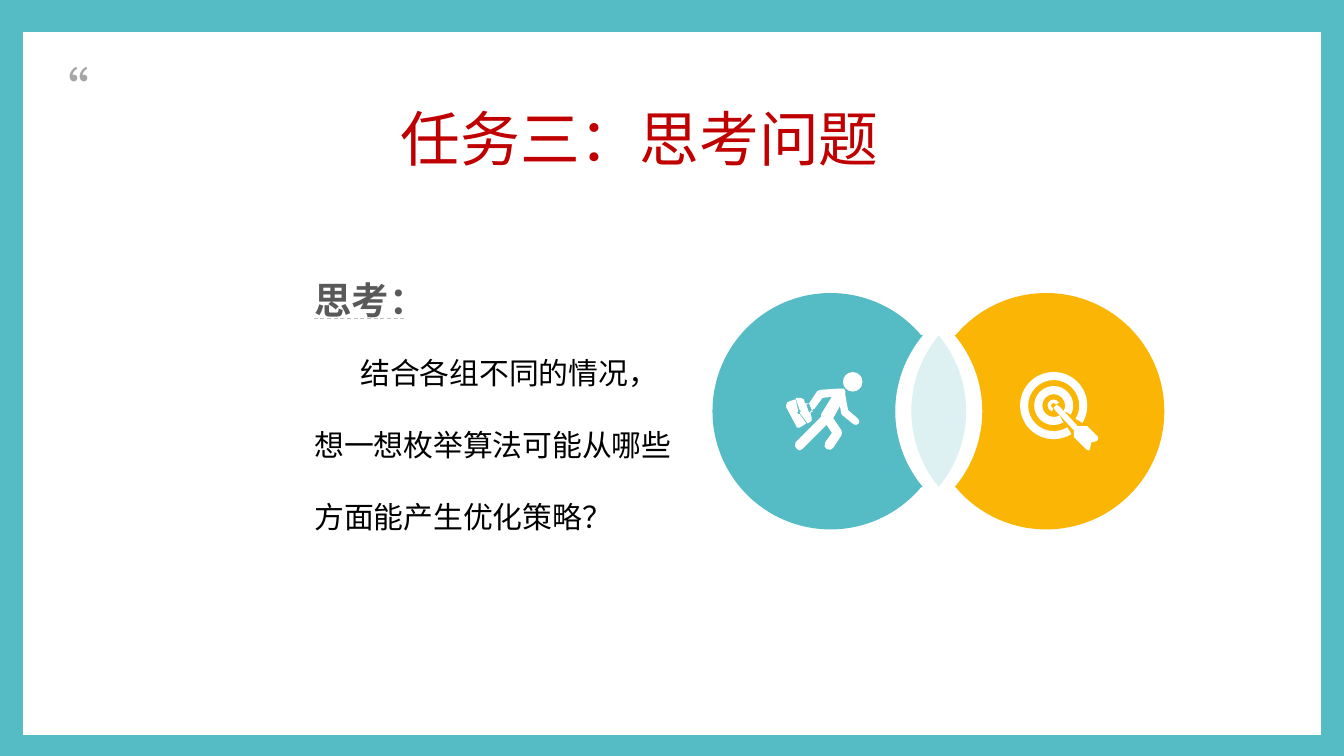
"""Build a question slide with two overlapping discs and their icons."""
from math import cos, radians, sin, tan

from pptx import Presentation
from pptx.dml.color import RGBColor
from pptx.enum.dml import MSO_LINE_DASH_STYLE as Dash
from pptx.enum.shapes import MSO_CONNECTOR as Connector, MSO_SHAPE as Preset
from pptx.enum.text import MSO_ANCHOR as Anchor, MSO_AUTO_SIZE as AutoSize, PP_ALIGN as Align
from pptx.oxml.ns import qn
from pptx.util import Cm, Pt

FONT = "Noto Sans CJK SC"
TEAL = RGBColor(0x55, 0xBB, 0xC5)
PALE = RGBColor(0xDD, 0xF1, 0xF3)
AMBER = RGBColor(0xFB, 0xB5, 0x05)
WHITE = RGBColor(0xFF, 0xFF, 0xFF)
BLACK = RGBColor(0, 0, 0)
RED = RGBColor(0xC0, 0, 0)
GREY = RGBColor(0x59, 0x59, 0x59)
SILVER = RGBColor(0xA6, 0xA6, 0xA6)
RULE = RGBColor(0xBF, 0xBF, 0xBF)

WIDTH, HEIGHT = Cm(25.4), Cm(14.28)
GRID = Cm(2.54) / 100

HEADING = {
    "text": "任务三：思考问题", "box": (7.32, 1.8, 11.3, 1.63),
    "font": {"size": Pt(32), "bold": False}, "color": RED,
    "paragraph": {"alignment": Align.LEFT, "line_spacing": 1},
}
QUESTION = {
    "text": "结合各组不同的情况，想一想枚举算法可能从哪些方面能产生优化策略？",
    "box": (5.69, 5.9, 7.3, 5.18), "indent": 0.87,
    "font": {"size": Pt(16)}, "color": BLACK,
    "paragraph": {"alignment": Align.LEFT, "line_spacing": 2},
}
PROMPT = {
    "text": "思考：", "box": (4.67, 4.93, 4.67, 1.19),
    "font": {"size": Pt(20), "bold": True}, "color": GREY,
    "paragraph": {"alignment": Align.CENTER, "line_spacing": 1.2},
}
QUOTE = {
    "text": "“", "box": (0.46, 0.98, 1.83, 1.52),
    "font": {"size": Pt(28)}, "color": SILVER,
    "paragraph": {"alignment": Align.LEFT},
}

MIDDLE, RADIUS = 305.8, 87.9
TARGET = (784, 301.6)
TARGET_RINGS = [(25, 19, 58, 391), (14.5, 8.5, 60, 388), (4.5, 2, 104, 333)]
ARROW = [
    (786, 301), (788, 302), (802, 317), (807, 317), (809, 317), (817, 325),
    (817, 327), (816, 328), (812, 329), (811, 334), (810, 335), (808, 334),
    (800, 326), (799, 325), (799, 320), (785, 305), (784, 303),
]
RUNNER_BODY = [
    (624, 289), (628, 289), (629, 291), (629, 294), (631, 305), (638, 311),
    (639.5, 313), (639, 315), (637, 316), (635, 315.5), (627, 309), (626, 308),
    (625, 302), (620, 311), (626, 320), (626.5, 322), (626, 324), (620, 333),
    (618, 334.5), (615, 334), (613.5, 332), (614, 329), (619, 322), (615, 316),
    (597, 334), (595, 335), (593, 334), (591.5, 332), (592, 329), (611, 310),
    (611, 308), (619, 295), (612, 296), (606, 304), (604, 305), (602, 300),
    (608, 291), (610, 290),
]
CASE_BACK = [
    (592, 297), (594, 306), (593, 307), (594, 308), (595, 308), (600, 315),
    (595, 318), (593, 318), (592, 316), (585, 303), (585, 301), (586, 299),
]
CASE_FRONT = [
    (596, 296), (598, 297), (599, 300), (602, 300), (600, 301), (602, 307),
    (604, 305), (605, 306), (603, 307), (604, 311), (604, 313), (601, 315),
    (595, 307), (596, 306), (595, 305), (592, 296), (594, 296),
]


def arc(x, y, radius, start, end):
    low, high = sorted((start, end))
    stops = [low, *(a for a in range(-180, 451, 90) if low < a < high), high]
    stops = [radians(a) for a in (stops if start < end else stops[::-1])]
    points = [(x + radius * cos(start_angle), y + radius * sin(start_angle))
              for start_angle in stops[:1]]
    for a, b in zip(stops, stops[1:]):
        reach = 4 / 3 * tan((b - a) / 4)
        for u, v in ((cos(a) - reach * sin(a), sin(a) + reach * cos(a)),
                     (cos(b) + reach * sin(b), sin(b) - reach * cos(b)),
                     (cos(b), sin(b))):
            points.append((x + radius * u, y + radius * v))
    return points


def join(first, second):
    return first + [first[-1], second[0]] + second


def band(outer, inner, start, end):
    return join(arc(*TARGET, outer, start, end), arc(*TARGET, inner, end, start))


def paint(shape, color):
    shape.shadow.inherit = False
    shape.fill.solid()
    shape.fill.fore_color.rgb = color
    shape.line.fill.background()


def draw(shapes, color, curves, polygons=()):
    scaled = [[(x * GRID, y * GRID) for x, y in contour] for contour in (*curves, *polygons)]
    builder = shapes.build_freeform(*scaled[0][0])
    builder.add_line_segments(scaled[0][1:])
    for contour in scaled[1:]:
        builder.move_to(*contour[0])
        builder.add_line_segments(contour[1:])
    shape = builder.convert_to_shape()
    paint(shape, color)
    bends = sum(len(contour) - 1 for contour in curves)
    segments = list(shape._element.iter(qn("a:lnTo")))[:bends]
    for i in range(0, bends, 3):
        cubic = segments[i].makeelement(qn("a:cubicBezTo"), {})
        segments[i].addprevious(cubic)
        for segment in segments[i:i + 3]:
            cubic.append(segment[0])
            segment.getparent().remove(segment)


def write(holder, content):
    places = map(Cm, content["box"])
    for side, value in zip(("left", "top", "width", "height"), places):
        setattr(holder, side, value)
    frame = holder.text_frame
    frame.text = content["text"]
    layout = {"word_wrap": True, "auto_size": AutoSize.NONE, "vertical_anchor": Anchor.TOP,
              "margin_left": Cm(0.25), "margin_right": Cm(0.25),
              "margin_top": Cm(0.13), "margin_bottom": Cm(0.13)}
    paragraph = frame.paragraphs[0]
    if "indent" in content:
        properties = paragraph._p.get_or_add_pPr()
        properties.set("marL", "0")
        properties.set("indent", str(Cm(content["indent"])))
        properties.append(properties.makeelement(qn("a:buNone"), {}))
    font = paragraph.runs[0].font
    for target, values in (
        (frame, layout),
        (paragraph, {"space_before": Pt(0), **content["paragraph"]}),
        (font, {"name": FONT, **content["font"]}),
    ):
        for name, value in values.items():
            setattr(target, name, value)
    font.color.rgb = content["color"]
    run = font._element
    run.append(run.makeelement(qn("a:ea"), {"typeface": FONT}))


def main():
    deck = Presentation()
    deck.slide_width, deck.slide_height = WIDTH, HEIGHT
    slide = deck.slides.add_slide(deck.slide_layouts[1])
    shapes = slide.shapes
    title, body = slide.placeholders

    paint(shapes.add_shape(Preset.RECTANGLE, 0, 0, WIDTH, HEIGHT), TEAL)
    panel = shapes.add_shape(Preset.RECTANGLE, Cm(0.42), Cm(0.58), Cm(24.56), Cm(13.32))
    paint(panel, WHITE)
    panel.line.color.rgb = TEAL
    panel.line.width = Pt(1)

    lens = join(arc(631, MIDDLE, RADIUS, -40, 40), arc(766, MIDDLE, RADIUS, 140, 220))
    left_disc = join(arc(618, MIDDLE, RADIUS, 40, 320), arc(754, MIDDLE, RADIUS, 220, 140))
    right_disc = join(arc(778.4, MIDDLE, RADIUS, -140, 140), arc(643, MIDDLE, RADIUS, 40, -40))
    for color, contour in ((PALE, lens), (TEAL, left_disc), (AMBER, right_disc)):
        draw(shapes, color, [contour])
    draw(shapes, WHITE, [arc(634.5, 284, 7.25, 0, 360)], [RUNNER_BODY, CASE_BACK, CASE_FRONT])
    draw(shapes, WHITE, [band(*ring) for ring in TARGET_RINGS], [ARROW])

    rule = shapes.add_connector(Connector.STRAIGHT, Cm(7.64), Cm(6.02), Cm(5.92), Cm(6.02))
    rule.line.color.rgb = RULE
    rule.line.width = Pt(0.5)
    rule.line.dash_style = Dash.DASH
    outline = rule._element.spPr
    outline.append(outline.makeelement(qn("a:effectLst"), {}))

    tree = title._element.getparent()
    for holder, content in ((body, QUESTION), (title, HEADING)):
        tree.append(holder._element)
        write(holder, content)
    for content in (QUOTE, PROMPT):
        write(shapes.add_textbox(0, 0, 0, 0), content)

    deck.save("out.pptx")


if __name__ == "__main__":
    main()
